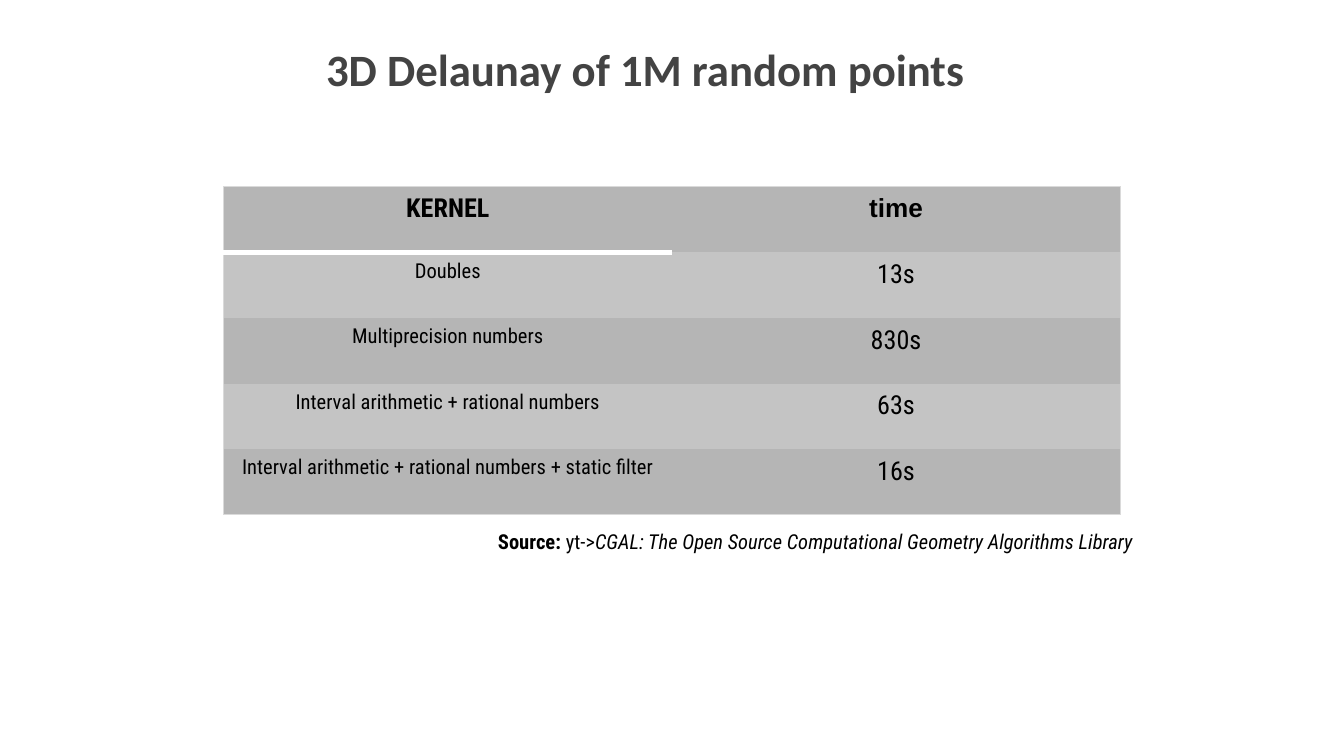
from lxml.etree import SubElement
from pptx import Presentation
from pptx.dml.color import RGBColor
from pptx.enum.text import PP_ALIGN
from pptx.oxml.ns import qn
from pptx.util import Inches, Pt

TITLE = "3D Delaunay of 1M random points"
ROWS = [
    ("KERNEL", "time"),
    ("Doubles", "13s"),
    ("Multiprecision numbers", "830s"),
    ("Interval arithmetic + rational numbers", "63s"),
    ("Interval arithmetic + rational numbers + static filter", "16s"),
]
# text, bold, italic
SOURCE = [
    ("Source: ", True, False),
    ("yt->", False, False),
    ("CGAL: The Open Source Computational Geometry Algorithms Library", False, True),
]
BODY_FONT = "Roboto Condensed"
BLACK, TITLE_GRAY, FRAME, WHITE = "000000", "434343", "DADADA", "FFFFFF"
BANDS = ("B5B5B5", "C4C4C4")
NO_GRID_STYLE = "{2D5ABB26-0587-4C30-8999-92F81FD0307C}"
SLIDE_W = Inches(10)
SLIDE_H = SLIDE_W * 9 // 16


def rgb(color):
    return RGBColor.from_string(color)


def style(p, font, size, color=BLACK, bold=None):
    p.alignment = PP_ALIGN.CENTER
    p.font.name, p.font.size, p.font.bold = font, Pt(size), bold
    p.font.color.rgb = rgb(color)


def add_text(s, left, top, width, height):
    """Add a wrapping text box and return its first paragraph."""
    tf = s.shapes.add_textbox(*map(Inches, (left, top, width, height))).text_frame
    tf.word_wrap = True
    tf.margin_left = tf.margin_right = tf.margin_top = tf.margin_bottom = Inches(0.1)
    return tf.paragraphs[0]


def add_border(cell, side, color, width):
    ln = SubElement(cell._tc.get_or_add_tcPr(), qn(f"a:ln{side}"), w=str(Pt(width)))
    SubElement(SubElement(ln, qn("a:solidFill")), qn("a:srgbClr"), val=color)


def add_kernel_table(s):
    n_rows, n_cols = len(ROWS), len(ROWS[0])
    width = Inches(6.67)
    table = s.shapes.add_table(n_rows, n_cols, (SLIDE_W - width) // 2, Inches(1.39),
                               width, Inches(2.44)).table
    table._tbl.tblPr.find(qn("a:tableStyleId")).text = NO_GRID_STYLE
    table.horz_banding = False
    for i, row in enumerate(ROWS):
        for j, text in enumerate(row):
            cell = table.cell(i, j)
            add_border(cell, "R" if j else "L", FRAME, 0.75)
            if i == 0:
                add_border(cell, "T", FRAME, 0.75)
            if i == 0 and j == 0:
                add_border(cell, "B", WHITE, 3)
            if i == n_rows - 1:
                add_border(cell, "B", FRAME, 0.75)
            cell.fill.solid()
            cell.fill.fore_color.rgb = rgb(BANDS[i % 2])
            cell.text = text
            header = i == 0
            style(cell.text_frame.paragraphs[0],
                  "Arial" if header and j else BODY_FONT,
                  14 if header or j else 11, bold=header)


prs = Presentation()
prs.slide_width, prs.slide_height = SLIDE_W, SLIDE_H
s = prs.slides.add_slide(prs.slide_layouts[6])

p = add_text(s, 2.42, 3.84, 7.3, 0.58)
style(p, BODY_FONT, 11)
for text, bold, italic in SOURCE:
    r = p.add_run()
    r.text, r.font.bold, r.font.italic = text, bold, italic

p = add_text(s, 1.95, 0.21, 5.7, 1.03)
p.text = TITLE
style(p, "Calibri", 24, TITLE_GRAY, True)

add_kernel_table(s)
prs.save("out.pptx")
